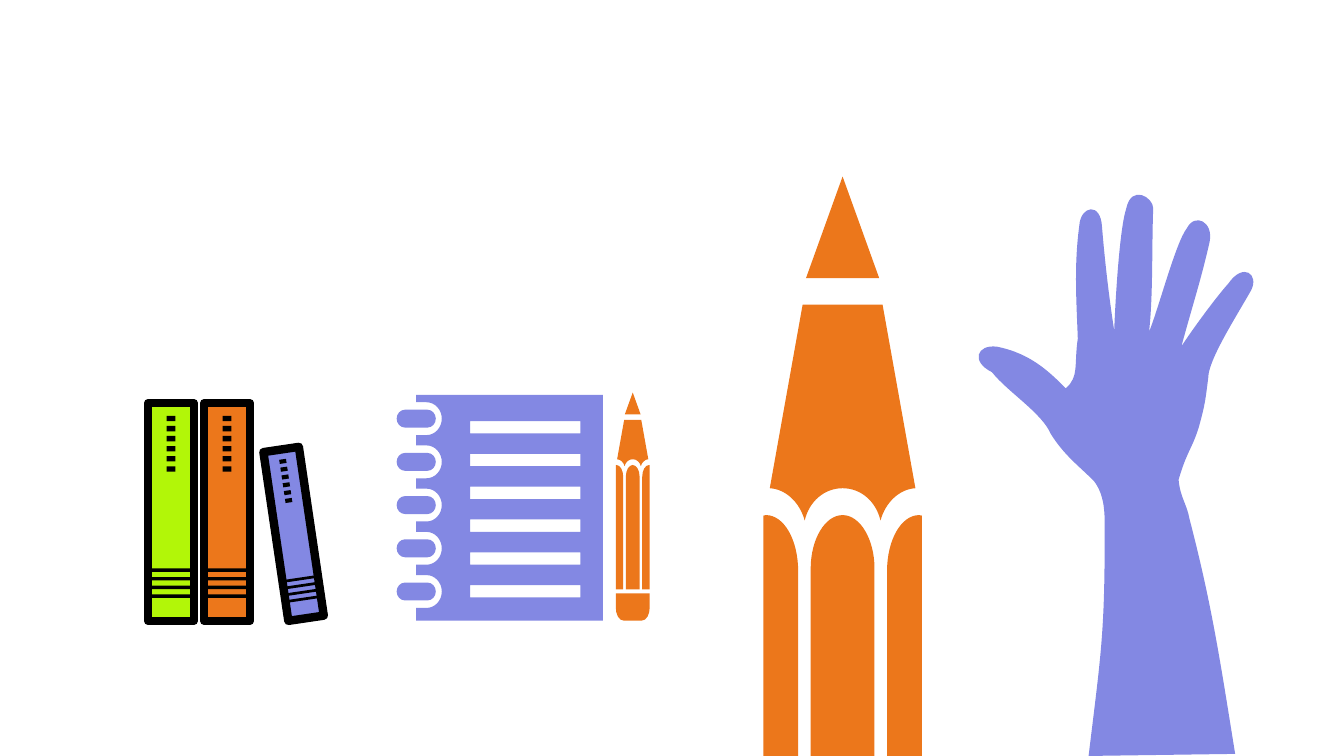
import math
from dataclasses import dataclass
from typing import Optional

from lxml import etree
from pptx import Presentation
from pptx.dml.color import RGBColor
from pptx.enum.shapes import MSO_SHAPE
from pptx.oxml.ns import qn
from pptx.util import Pt

RECTANGLE = MSO_SHAPE.RECTANGLE
BLACK, LIME, ORANGE, VIOLET = "000000", "B2F608", "EC771B", "8388E3"
BOUND_STEPS = 20
ARC = 0.55

Contour = list[tuple[float, ...]]


@dataclass
class Book:
    center_x: float
    center_y: float
    scale: float
    angle: float
    color: str


@dataclass
class Pencil:
    center_x: float
    top: float
    scale: float
    barrel_end: float
    eraser_end: Optional[float] = None


BOOKS = [
    Book(121.7, 274.3, 1, 0, ORANGE),
    Book(91.6, 274.3, 1, 0, LIME),
    Book(157.3, 286, 0.784, -8.4, VIOLET),
]
SMALL_PENCIL = Pencil(339, 210.3, 0.214, 315.8, 332.5)
LARGE_PENCIL = Pencil(451.4, 94.6, 1, 405)

HAND: Contour = [
    (583.2, 405), (661.7, 403.9),
    (653.8, 355, 649.4, 324.7, 637.2, 277.9),
    (635.8, 270, 632.2, 266.4, 631.4, 257),
    (635.8, 241.9, 638.6, 240.5, 642.2, 229),
    (645.8, 216, 645.8, 213.8, 647.3, 202.3),
    (647.3, 193, 661.7, 170.6, 670.3, 155.5),
    (674.6, 146.9, 666, 140.4, 658.1, 151.9),
    (651.6, 159.1, 639.4, 175.7, 632.9, 185.6),
    (637.9, 167, 643.7, 149, 648, 129.6),
    (650.2, 118.8, 640.1, 113.8, 635.8, 122.4),
    (630, 129.6, 620.6, 165.6, 615.6, 177.8),
    (617.8, 157.7, 617, 132.5, 617.8, 111.6),
    (617.8, 105.8, 606.2, 98.6, 603.4, 111.6),
    (599.8, 122.4, 597.6, 159.8, 596.9, 177.1),
    (594, 158.4, 591.8, 139, 590.4, 121.7),
    (589.7, 108, 578.9, 110.2, 578.2, 121),
    (575.3, 142.6, 576.7, 161.3, 577.4, 181.4),
    (575.3, 195.8, 578.2, 201.6, 571, 208.1),
    (562.3, 199.4, 552.2, 189.4, 534.2, 185.8),
    (523.4, 184.3, 519.8, 193.7, 531.4, 199.4),
    (540, 210.2, 558, 221, 563, 232.6),
    (570.2, 244.1, 578.2, 249.8, 586.1, 257.8),
    (592.6, 266.4, 591.8, 277.2, 591.8, 288),
    (591.8, 339.8, 589.7, 351.4, 583.2, 405),
]


def paint(shape, color: str, line_width: float = 0) -> None:
    shape.shadow.inherit = False
    shape.fill.solid()
    shape.fill.fore_color.rgb = RGBColor.from_string(color)
    if line_width:
        shape.line.color.rgb = RGBColor.from_string(BLACK)
        shape.line.width = Pt(line_width)
    else:
        shape.line.fill.background()


def points_on(contour: Contour) -> list[tuple[float, ...]]:
    points = [contour[0]]
    for segment in contour[1:]:
        if len(segment) == 2:
            points.append(segment)
            continue
        controls = points[-1] + segment
        for step in range(1, BOUND_STEPS + 1):
            t = step / BOUND_STEPS
            weights = ((1 - t) ** 3, 3 * t * (1 - t) ** 2, 3 * t * t * (1 - t), t ** 3)
            points.append((sum(w * x for w, x in zip(weights, controls[0::2])),
                           sum(w * y for w, y in zip(weights, controls[1::2]))))
    return points


def draw_outline(shapes, contours: list[Contour], color: str) -> None:
    points = [point for contour in contours for point in points_on(contour)]
    xs, ys = zip(*points)
    left, top, right, bottom = Pt(min(xs)), Pt(min(ys)), Pt(max(xs)), Pt(max(ys))
    builder = shapes.build_freeform(left, top)
    builder.add_line_segments([(right, top), (right, bottom), (left, bottom)])
    shape = builder.convert_to_shape()
    outline = next(shape._element.iter(qn("a:path")))
    for child in list(outline):
        outline.remove(child)
    for contour in contours:
        for number, segment in enumerate(contour):
            tag = "a:moveTo" if number == 0 else "a:lnTo" if len(segment) == 2 else "a:cubicBezTo"
            command = etree.SubElement(outline, qn(tag))
            for x, y in zip(segment[0::2], segment[1::2]):
                etree.SubElement(command, qn("a:pt"), x=str(Pt(x) - left), y=str(Pt(y) - top))
        etree.SubElement(outline, qn("a:close"))
    paint(shape, color)


def draw_book(shapes, book: Book) -> None:
    radians = math.radians(book.angle)

    def draw_part(offset: float, width: float, height: float, color: str, line_width: float = 0) -> None:
        distance, length, thickness = (value * book.scale for value in (offset, height, width))
        center_x = book.center_x - distance * math.sin(radians)
        center_y = book.center_y + distance * math.cos(radians)
        part = shapes.add_shape(RECTANGLE, Pt(center_x - length / 2), Pt(center_y - thickness / 2),
                                Pt(length), Pt(thickness))
        part.rotation = 270 + book.angle
        paint(part, color, line_width)

    draw_part(0, 24.5, 116.6, book.color, 4.5)
    for band in reversed(range(4)):
        draw_part(31.1 + 4.64 * band, 24.5, 1.9, BLACK)
    for dash in reversed(range(6)):
        draw_part(-50.1 + 5.4 * dash, 4.7, 2.9, BLACK)


def rectangle(left: float, top: float, width: float, height: float) -> Contour:
    right, bottom = left + width, top + height
    return [(left, top), (right, top), (right, bottom), (left, bottom)]


def half_round(x: float, center_y: float, reach: float, radius: float) -> Contour:
    start, end = center_y - radius, center_y + radius
    bend, rise = reach * ARC, radius * ARC
    return [(x, start),
            (x + bend, start, x + reach, center_y - rise, x + reach, center_y),
            (x + reach, center_y + rise, x + bend, end, x, end)]


def draw_notebook(shapes) -> None:
    left, right, top, bottom = 223, 323, 211.5, 332.5
    rings = [224.3 + 23.15 * number for number in range(5)]
    page: Contour = [(left, top)]
    contours = [page]
    for center_y in rings:
        page += [(left, center_y - 8.8), *half_round(228.5, center_y, 8.2, 8.8),
                 (left, center_y + 8.8)]
        contours.append(half_round(229, center_y, 4.5, 4.8)
                        + half_round(217, center_y, -4.5, -4.8))
    page += [(left, bottom), (right, bottom), (right, top)]
    contours += [rectangle(251.9, 225.6 + 17.57 * row, 59, 6.6) for row in range(6)]
    draw_outline(shapes, contours, VIOLET)


def draw_pencil(shapes, pencil: Pencil) -> None:
    end = (pencil.barrel_end - pencil.top) / pencil.scale
    tip: Contour = [(0, 0), (19.6, 54.5), (-19.6, 54.5)]
    wood: Contour = [
        (-21.4, 68.6), (21.4, 68.6), (39, 167),
        (30.5, 167.5, 23, 174.5, 20.3, 184.3),
        (18, 174.3, 10, 167, 0, 167),
        (-10, 167, -18, 174.3, -20.3, 184.3),
        (-23, 174.5, -30.5, 167.5, -39, 167),
    ]
    middle: Contour = [
        (-17.1, end), (-17.1, 210),
        (-17.1, 194.4, -9.4, 181.4, 0, 181.4),
        (9.4, 181.4, 17.1, 194.4, 17.1, 210), (17.1, end),
    ]
    right_side: Contour = [
        (23.8, end), (23.8, 211.5),
        (23.8, 194.5, 31.5, 181.4, 41, 181.4),
        (41.5, 181.4, 42, 181.5, 42.5, 181.7), (42.5, end),
    ]
    left_side = [tuple(value if index % 2 else -value for index, value in enumerate(segment))
                 for segment in right_side]
    contours = [tip, wood, middle, right_side, left_side]
    if pencil.eraser_end:
        bottom = (pencil.eraser_end - pencil.top) / pencil.scale
        contours.append([
            (-42.5, end + 10), (42.5, end + 10), (42.5, bottom - 34),
            (42.5, bottom - 16, 35, bottom, 22, bottom), (-22, bottom),
            (-35, bottom, -42.5, bottom - 16, -42.5, bottom - 34),
        ])
    placed = [[tuple(value * pencil.scale + (pencil.top if index % 2 else pencil.center_x)
                     for index, value in enumerate(segment)) for segment in contour]
              for contour in contours]
    draw_outline(shapes, placed, ORANGE)


def main() -> None:
    presentation = Presentation()
    presentation.slide_width, presentation.slide_height = Pt(720), Pt(405)
    slide = presentation.slides.add_slide(presentation.slide_layouts[6])
    book_group = slide.shapes.add_group_shape()
    for book in BOOKS:
        draw_book(book_group.shapes, book)
    writing_group = slide.shapes.add_group_shape()
    draw_notebook(writing_group.shapes)
    draw_pencil(writing_group.shapes, SMALL_PENCIL)
    draw_outline(slide.shapes, [HAND], VIOLET)
    draw_pencil(slide.shapes, LARGE_PENCIL)
    presentation.save("out.pptx")


if __name__ == "__main__":
    main()
